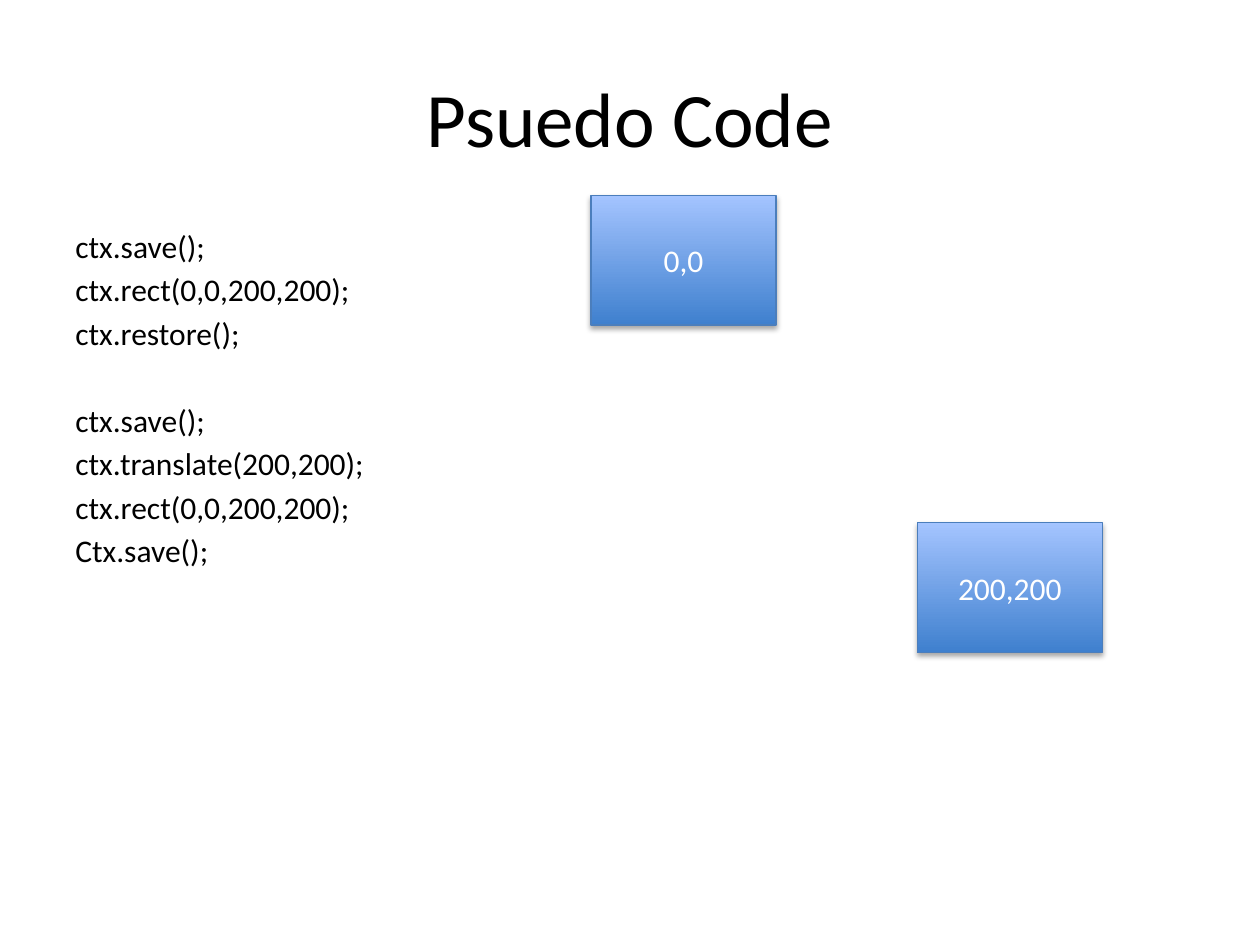
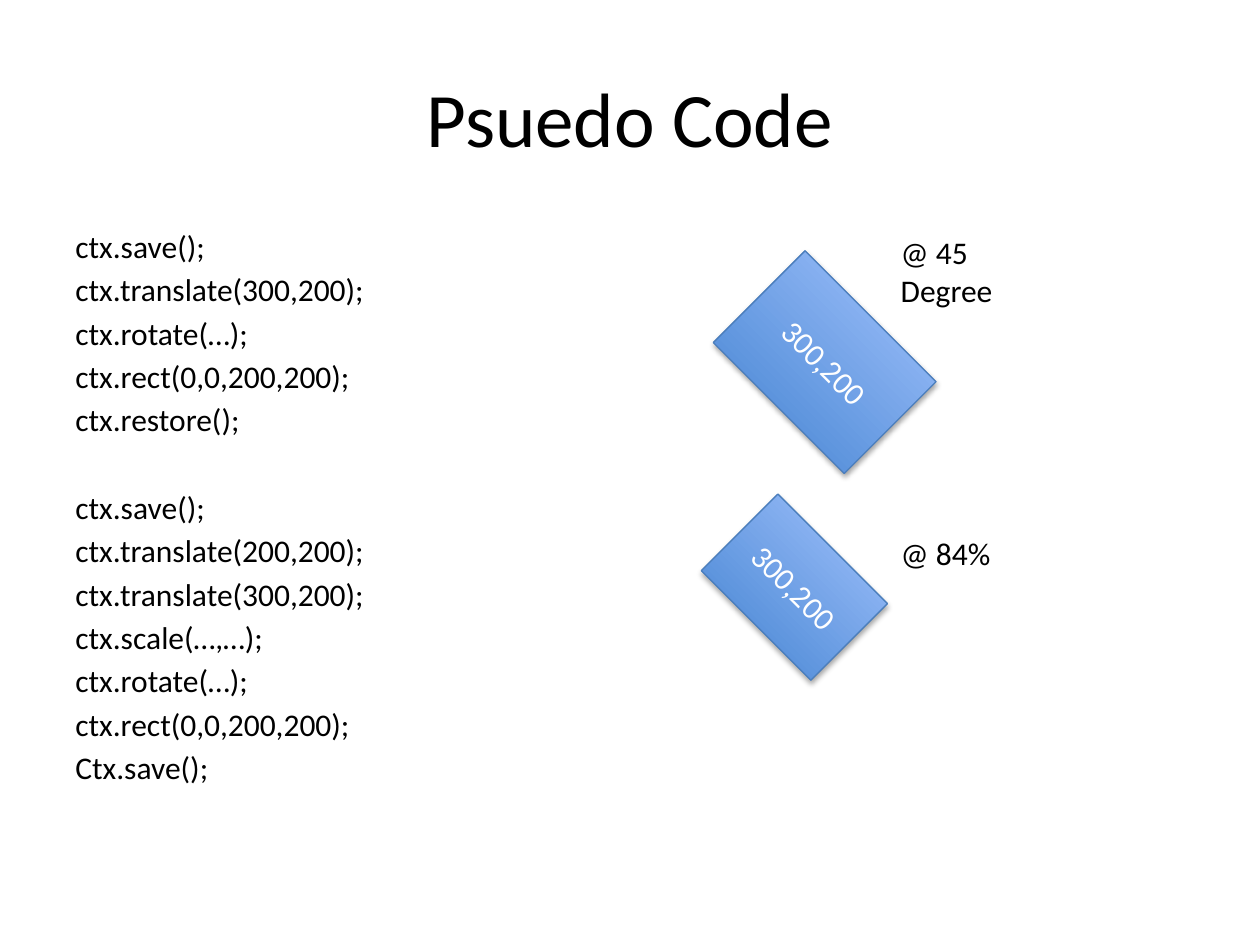
from pptx import Presentation
from pptx.dml.color import RGBColor
from pptx.enum.shapes import MSO_SHAPE
from pptx.enum.text import MSO_ANCHOR, PP_ALIGN
from pptx.util import Inches, Pt

COLORS = {
    "text": "000000",
    "on_fill": "FFFFFF",
    "fill_bottom": "3F80CE",
    "fill_top": "A4C4FF",
    "outline": "4B7EBC",
}
FONT = "Calibri"
BODY_SIZE = 18
LINE_GAP = 3.2    # points between code lines
BLOCK_GAP = 28.4  # points between code blocks, one line deeper

# Rectangles: text, (left, top, width, height), rotation.  Labels: text, position.
SLIDES = [
    {
        "title": "Psuedo Code",
        "code": [
            ["ctx.save();", "ctx.rect(0,0,200,200);", "ctx.restore();"],
            ["ctx.save();", "ctx.translate(200,200);", "ctx.rect(0,0,200,200);",
             "Ctx.save();"],
        ],
        "rectangles": [
            ("0,0", (4.69, 1.55, 1.47, 1.03), 0),
            ("200,200", (7.28, 4.15, 1.47, 1.03), 0),
        ],
        "labels": [],
    },
    {
        "title": "Psuedo Code",
        "code": [
            ["ctx.save();", "ctx.translate(300,200);", "ctx.rotate(…);",
             "ctx.rect(0,0,200,200);", "ctx.restore();"],
            ["ctx.save();", "ctx.translate(200,200);", "ctx.translate(300,200);",
             "ctx.scale(…,…);", "ctx.rotate(…);", "ctx.rect(0,0,200,200);",
             "Ctx.save();"],
        ],
        "rectangles": [
            ("300,200", (5.81, 2.36, 1.47, 1.03), 45),
            ("300,200", (5.69, 4.23, 1.23, 0.86), 45),
        ],
        "labels": [
            ("@ 45 Degree", (7.05, 1.8, 1.42, 0.71)),
            ("@ 84%", (7.05, 4.19, 1.42, 0.4)),
        ],
    },
]


def color(name):
    return RGBColor.from_string(COLORS[name])


def style(para, size=BODY_SIZE, ink="text", align=PP_ALIGN.LEFT):
    para.alignment = align
    for span in para.runs:
        span.font.name = FONT
        span.font.size = Pt(size)
        span.font.color.rgb = color(ink)


def add_title(page, text):
    title = page.shapes.title
    title.left, title.top = Inches(0.5), Inches(0.3)
    title.width, title.height = Inches(9), Inches(1.25)
    title.text_frame.text = text
    title.text_frame.vertical_anchor = MSO_ANCHOR.MIDDLE
    style(title.text_frame.paragraphs[0], 44, align=PP_ALIGN.CENTER)


def add_text_box(page, place):
    box = page.shapes.add_textbox(*map(Inches, place))
    box.text_frame.word_wrap = True
    return box.text_frame


def add_code(page, blocks):
    frame = add_text_box(page, (0.5, 1.75, 9, 4.95))
    for block_index, block in enumerate(blocks):
        for line_index, line in enumerate(block):
            if block_index == line_index == 0:
                para = frame.paragraphs[0]
            else:
                para = frame.add_paragraph()
                para.space_before = Pt(LINE_GAP if line_index else BLOCK_GAP)
            para.text = line
            style(para)


def add_rectangle(page, text, place, rotation):
    """Add a gradient rectangle that keeps the soft shadow of the theme."""
    box = page.shapes.add_shape(MSO_SHAPE.RECTANGLE, *map(Inches, place))
    box.rotation = rotation
    box.fill.gradient()
    box.fill.gradient_angle = 90
    for stop, name in zip(box.fill.gradient_stops, ("fill_bottom", "fill_top")):
        stop.color.rgb = color(name)
    box.line.color.rgb = color("outline")
    box.line.width = Pt(0.75)
    box.text_frame.text = text
    box.text_frame.vertical_anchor = MSO_ANCHOR.MIDDLE
    style(box.text_frame.paragraphs[0], ink="on_fill", align=PP_ALIGN.CENTER)


def add_label(page, text, place):
    frame = add_text_box(page, place)
    frame.text = text
    style(frame.paragraphs[0])


def main():
    deck = Presentation()
    deck.slide_width, deck.slide_height = Inches(10), Inches(7.5)
    title_only = deck.slide_layouts[5]
    for content in SLIDES:
        page = deck.slides.add_slide(title_only)
        add_title(page, content["title"])
        add_code(page, content["code"])
        for rectangle in content["rectangles"]:
            add_rectangle(page, *rectangle)
        for label in content["labels"]:
            add_label(page, *label)
    deck.save("out.pptx")


if __name__ == "__main__":
    main()
